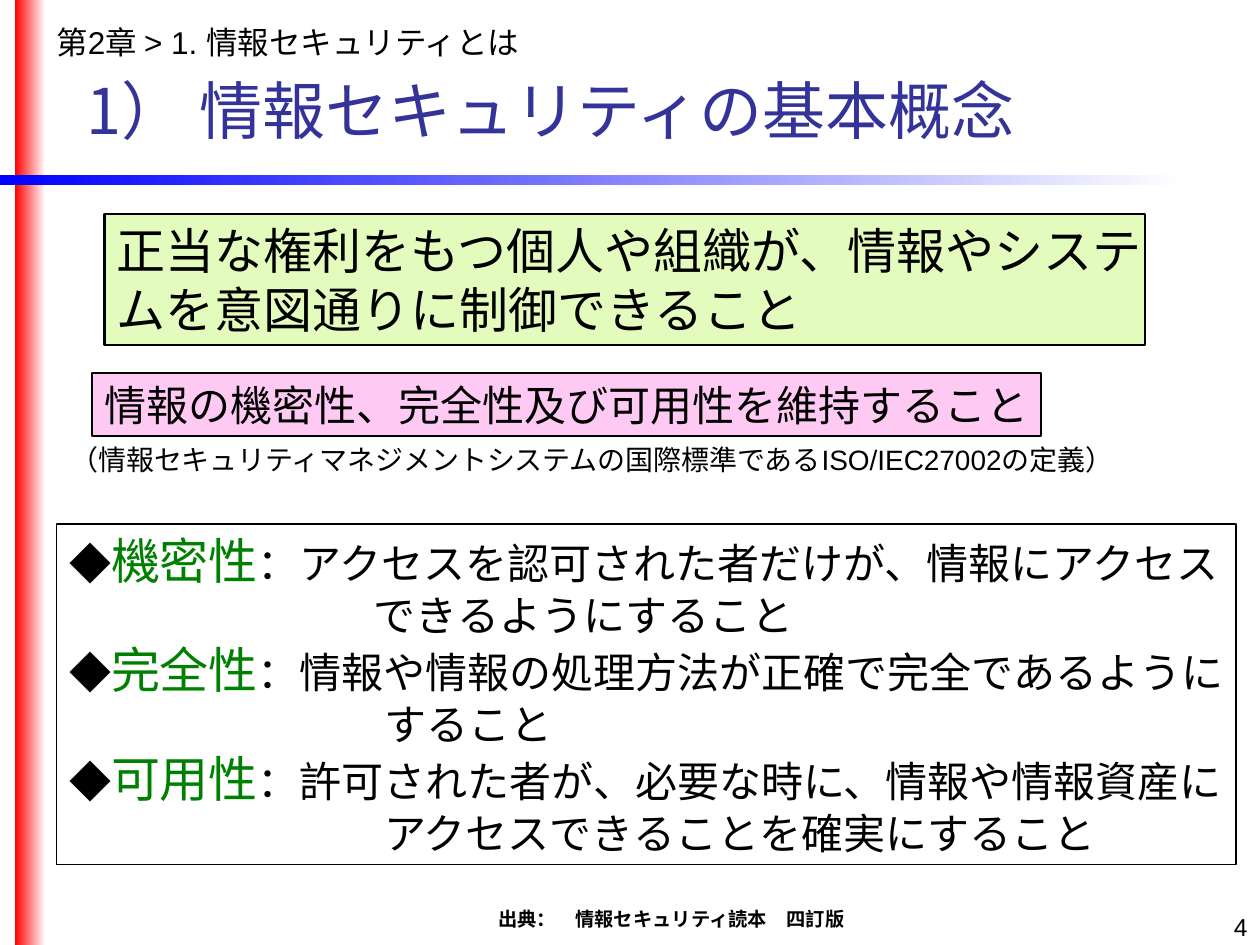
"""Build the slide on the basic concepts of information security."""
import pptx
import pptx.util
import pptx.dml.color
import pptx.enum.shapes
import pptx.enum.text
from lxml import etree

Inches, Pt = pptx.util.Inches, pptx.util.Pt
ALIGN = pptx.enum.text.PP_ALIGN
ANCHOR = pptx.enum.text.MSO_ANCHOR
RECTANGLE = pptx.enum.shapes.MSO_SHAPE.RECTANGLE

COLORS = {"red": "FF0000", "blue": "0000FF", "white": "FFFFFF", "black": "000000",
          "title": "333399", "lime": "E3FBBD", "pink": "FECAF4", "term": "008000"}
CJK, SANS, SERIF = "Noto Sans CJK JP", "Arial", "Times New Roman"

TITLE = "1） 情報セキュリティの基本概念"
BARS = [((0.12, 0, 0.24, 7.5), "red"), ((0, 1.39, 9.41, 0.08), "blue")]
LABELS = [
    ("出典：　情報セキュリティ読本　四訂版", (3.36, 7.15, 3.94, 0.29), 11, CJK, ALIGN.CENTER, True),
    ("4", (7.67, 7.19, 2.33, 0.31), 14, SANS, ALIGN.RIGHT, False),
    ("（情報セキュリティマネジメントシステムの国際標準であるISO/IEC27002の定義）",
     (0.46, 3.46, 8.61, 0.37), 16, SANS, ALIGN.LEFT, False),
    ("第2章 > 1. 情報セキュリティとは", (0.35, 0.13, 7.4, 0.4), 18, SANS, ALIGN.LEFT, False),
]
PANELS = [
    ("正当な権利をもつ個人や組織が、情報やシステムを意図通りに制御できること",
     (0.83, 1.7, 8.26, 1.04), "lime", 28, SERIF),
    ("情報の機密性、完全性及び可用性を維持すること",
     (0.73, 2.96, 7.53, 0.5), "pink", 24, SANS),
]
TERMS_BOX = (0.45, 4.16, 9.36, 2.7)
TERMS = [
    ("機密性", "：アクセスを認可された者だけが、情報にアクセス", "できるようにすること", 2.42),
    ("完全性", "：情報や情報の処理方法が正確で完全であるように", "すること", 2.5),
    ("可用性", "：許可された者が、必要な時に、情報や情報資産に", "アクセスできることを確実にすること", 2.5),
]


def color(name):
    return pptx.dml.color.RGBColor.from_string(COLORS[name])


def format_span(span, size, font, tint="black", bold=False):
    span.font.size = Pt(size)
    span.font.name = font
    span.font.bold = bold
    span.font.color.rgb = color(tint)
    latin = span.font._element.find(pptx.oxml.ns.qn("a:latin"))
    east_asian = etree.Element(pptx.oxml.ns.qn("a:ea"), typeface=CJK)
    latin.addnext(east_asian)


def add_span(para, text, *style):
    span = para.add_run()
    span.text = text
    format_span(span, *style)


def set_frame(box, right=0.1):
    frame = box.text_frame
    frame.word_wrap = True
    frame.margin_left, frame.margin_right = Inches(0.1), Inches(right)
    frame.margin_top = frame.margin_bottom = Inches(0.05)
    return frame


def add_rectangle(page, place, line_width=None):
    box = page.shapes.add_shape(RECTANGLE, *map(Inches, place))
    box.shadow.inherit = False
    if line_width:
        box.line.color.rgb = color("black")
        box.line.width = Pt(line_width)
    else:
        box.line.fill.background()
    return box


def add_bar(page, place, tint):
    fill = add_rectangle(page, place).fill
    fill.gradient()
    fill.gradient_angle = 0
    for stop, name in zip(fill.gradient_stops, (tint, "white")):
        stop.color.rgb = color(name)


def add_label(page, text, place, size, font, align, bold):
    frame = set_frame(page.shapes.add_textbox(*map(Inches, place)))
    para = frame.paragraphs[0]
    para.text = text
    para.alignment = align
    format_span(para.runs[0], size, font, "black", bold)


def add_panel(page, text, place, tint, size, font):
    box = add_rectangle(page, place, 1.25)
    box.fill.solid()
    box.fill.fore_color.rgb = color(tint)
    frame = set_frame(box, 0)
    frame.vertical_anchor = ANCHOR.TOP
    para = frame.paragraphs[0]
    para.text = text
    para.alignment = ALIGN.LEFT
    format_span(para.runs[0], size, font)


def add_terms(page):
    box = add_rectangle(page, TERMS_BOX, 0.75)
    box.fill.background()
    frame = set_frame(box, 0)
    frame.vertical_anchor = ANCHOR.TOP
    for index, (term, meaning, rest, indent) in enumerate(TERMS):
        para = frame.add_paragraph() if index else frame.paragraphs[0]
        para.alignment = ALIGN.LEFT
        add_span(para, "◆", 24, SERIF)
        add_span(para, term, 28, SERIF, "term")
        add_span(para, meaning, 24, SERIF)
        para = frame.add_paragraph()
        para.alignment = ALIGN.LEFT
        para._p.get_or_add_pPr().set("marL", str(Inches(indent)))
        add_span(para, rest, 24, SERIF)


def add_title(page):
    title = page.shapes.title
    title.left, title.top, title.width, title.height = map(Inches, (0.59, 0.36, 7.8, 1.01))
    title.text_frame.text = TITLE
    title.text_frame.vertical_anchor = ANCHOR.MIDDLE
    para = title.text_frame.paragraphs[0]
    para.alignment = ALIGN.LEFT
    format_span(para.runs[0], 36, CJK, "title")


def main():
    deck = pptx.Presentation()
    deck.slide_width, deck.slide_height = Inches(10), Inches(7.5)
    page = deck.slides.add_slide(deck.slide_layouts[5])
    for bar in BARS:
        add_bar(page, *bar)
    add_title(page)
    for panel in PANELS:
        add_panel(page, *panel)
    add_terms(page)
    for label in LABELS:
        add_label(page, *label)
    deck.save("out.pptx")


if __name__ == "__main__":
    main()
